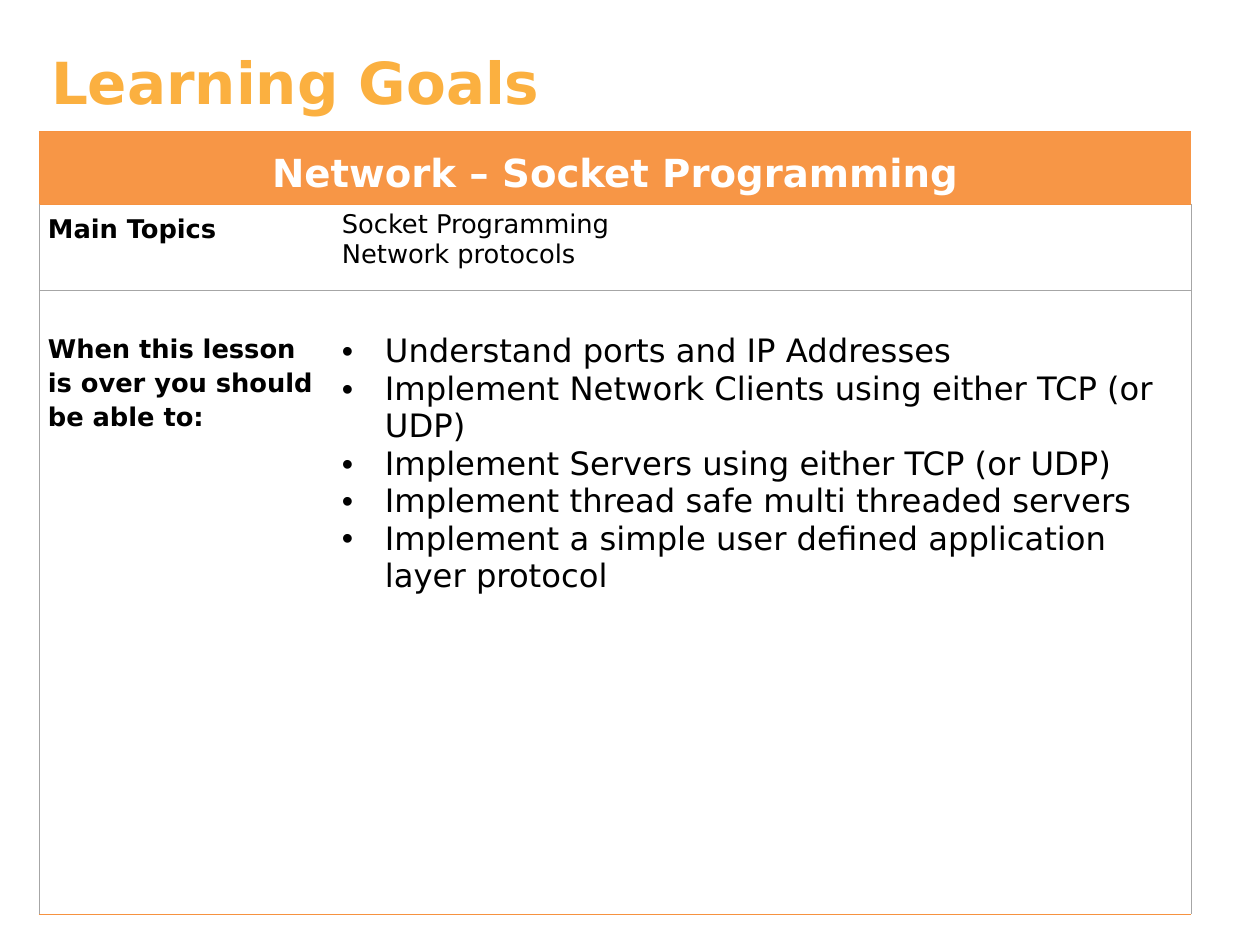
from lxml import etree
from pptx import Presentation
from pptx import util as u
from pptx.dml.color import RGBColor
from pptx.enum import text
from pptx.oxml.ns import qn

# Content
TITLE = "Learning Goals"
HEADING = ["Network – Socket Programming"]
TOPICS_LABEL = ["Main Topics"]
TOPICS = ["Socket Programming", "Network protocols"]
GOALS_LABEL = ["When this lesson is over you should be able to:"]
GOALS = [
    "Understand ports and IP Addresses",
    "Implement Network Clients using either TCP (or UDP)",
    "Implement Servers using either TCP (or UDP)",
    "Implement thread safe multi threaded servers",
    "Implement a simple user defined application layer protocol",
]

# Colours and lengths
AMBER = RGBColor(0xFB, 0xB0, 0x40)
ORANGE = RGBColor(0xF7, 0x96, 0x46)
EDGE = RGBColor(0xF6, 0x92, 0x40)
GREY = RGBColor(0xA6, 0xA6, 0xA6)
WHITE = RGBColor(0xFF, 0xFF, 0xFF)
BLACK = RGBColor(0, 0, 0)
FONT = "DejaVu Sans"
EMU_PER_PX = 7890
SLIDE_SIZE = (1260, 945)
TITLE_BOX = (39, 37, 1030, 95)
TABLE_CORNER = (39, 131)
COLUMNS = [294, 858]
ROWS = [73, 86, 624]
BULLET_INDENT = 43
BORDER_WIDTH = u.Pt(0.34)

# Formats
LEFT, CENTER = text.PP_ALIGN.LEFT, text.PP_ALIGN.CENTER
TITLE_FONT = {"name": FONT, "size": u.Pt(36), "bold": True, "color": AMBER}
HEADING_FONT = {"name": FONT, "size": u.Pt(24), "bold": True, "color": WHITE}
LABEL_FONT = {"name": FONT, "size": u.Pt(16), "bold": True, "color": BLACK}
TOPIC_FONT = {**LABEL_FONT, "bold": False}
GOAL_FONT = {**TOPIC_FONT, "size": u.Pt(20)}
HEADING_LINES = {"alignment": CENTER, "line_spacing": 1.15}
LABEL_LINES = {"alignment": LEFT, "line_spacing": 1.15}
LIST_LINES = {"alignment": LEFT, "line_spacing": 1.0}

# Row, column, lines, font, paragraph format, top margin, bulleted
CELLS = [
    (0, 0, HEADING, HEADING_FONT, HEADING_LINES, 14, False),
    (1, 0, TOPICS_LABEL, LABEL_FONT, LABEL_LINES, 6, False),
    (1, 1, TOPICS, TOPIC_FONT, LIST_LINES, 6, False),
    (2, 0, GOALS_LABEL, LABEL_FONT, LABEL_LINES, 40, False),
    (2, 1, GOALS, GOAL_FONT, LIST_LINES, 43, True),
]


def px(length):
    return u.Emu(length * EMU_PER_PX)


def set_attributes(target, values):
    for name, value in values.items():
        if name == "color":
            target.color.rgb = value
        else:
            setattr(target, name, value)


def set_margins(target, side, top, bottom=6):
    set_attributes(target, {
        "margin_left": px(side), "margin_right": px(side),
        "margin_top": px(top), "margin_bottom": px(bottom),
    })


def add_bullet(paragraph):
    properties = paragraph._p.get_or_add_pPr()
    properties.set("marL", str(px(BULLET_INDENT)))
    properties.set("indent", str(-px(BULLET_INDENT)))
    etree.SubElement(properties, qn("a:buFont"), typeface="Arial")
    etree.SubElement(properties, qn("a:buChar"), char="•")


def set_borders(cell, colors):
    properties = cell._tc.get_or_add_tcPr()
    for position, (side, color) in enumerate(colors.items()):
        line = etree.Element(qn(f"a:ln{side}"), w=str(BORDER_WIDTH))
        if color is None:
            etree.SubElement(line, qn("a:noFill"))
        else:
            fill = etree.SubElement(line, qn("a:solidFill"))
            etree.SubElement(fill, qn("a:srgbClr"), val=str(color))
        properties.insert(position, line)


def fill_cell(cell, lines, font, line_format, top, bulleted):
    set_margins(cell, 9, top)
    cell.vertical_anchor = text.MSO_ANCHOR.TOP
    frame = cell.text_frame
    for index, line in enumerate(lines):
        paragraph = frame.add_paragraph() if index else frame.paragraphs[0]
        if bulleted:
            add_bullet(paragraph)
        paragraph.add_run().text = line
        set_attributes(paragraph, line_format)
        set_attributes(paragraph.runs[0].font, font)


def add_title(slide):
    title = slide.shapes.title
    title.left, title.top, title.width, title.height = map(px, TITLE_BOX)
    frame = title.text_frame
    frame.text = TITLE
    frame.vertical_anchor = text.MSO_ANCHOR.TOP
    set_margins(frame, 12, 10)
    frame.paragraphs[0].alignment = LEFT
    set_attributes(frame.paragraphs[0].runs[0].font, TITLE_FONT)


def add_goal_table(slide):
    box = map(px, (*TABLE_CORNER, sum(COLUMNS), sum(ROWS)))
    table = slide.shapes.add_table(len(ROWS), len(COLUMNS), *box).table
    set_attributes(table, {"first_row": False, "horz_banding": False})
    for column, width in zip(table.columns, COLUMNS):
        column.width = px(width)
    for row, height in zip(table.rows, ROWS):
        row.height = px(height)
    table.cell(0, 0).merge(table.cell(0, 1))

    # Fills and borders
    last = len(ROWS) - 1
    for row in range(len(ROWS)):
        side = EDGE if row == 0 else GREY
        for column in range(len(COLUMNS)):
            cell = table.cell(row, column)
            if row == 0:
                cell.fill.solid()
                cell.fill.fore_color.rgb = ORANGE
            else:
                cell.fill.background()
            set_borders(cell, {
                "L": side if column == 0 else None,
                "R": side if column == 1 else None,
                "T": EDGE if row < 2 else GREY,
                "B": EDGE if row in (0, last) else GREY,
            })

    # Text
    for row, column, *content in CELLS:
        fill_cell(table.cell(row, column), *content)


def main():
    presentation = Presentation()
    presentation.slide_width, presentation.slide_height = map(px, SLIDE_SIZE)
    slide = presentation.slides.add_slide(presentation.slide_layouts[5])
    add_title(slide)
    add_goal_table(slide)
    presentation.save("out.pptx")


if __name__ == "__main__":
    main()
